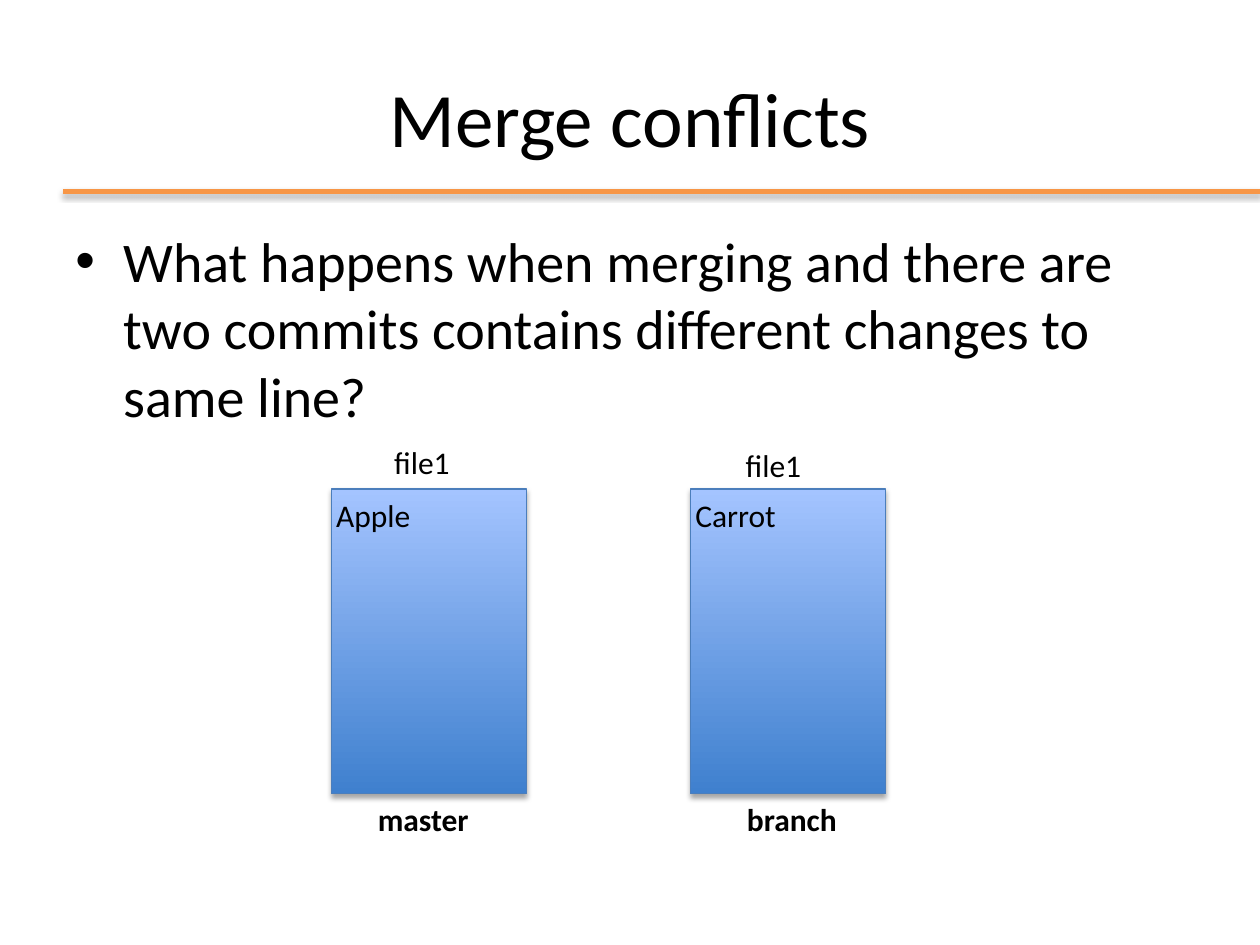
from lxml.etree import SubElement as Sub
from pptx import Presentation
from pptx.dml.color import RGBColor
from pptx.enum.shapes import MSO_CONNECTOR as Link, MSO_SHAPE as Form
from pptx.enum.text import MSO_ANCHOR as Anchor, MSO_AUTO_SIZE as Fit, PP_ALIGN as Align
from pptx.oxml.ns import qn
from pptx.util import Inches, Pt


def tint(code):
    return RGBColor.from_string(code)


class Deck:
    font = "Calibri"
    ink = "000000"
    rule = "F79646"
    edge = "4B7EBC"
    shades = ("3F80CE", "A4C4FF")

    def __init__(self, slide):
        self.slide = slide

    def shade(self, shape):
        effects = Sub(shape._element.spPr, qn("a:effectLst"))
        outer = Sub(effects, qn("a:outerShdw"), blurRad="40000", dist="23000",
                    dir="5400000", rotWithShape="0")
        color = Sub(outer, qn("a:srgbClr"), val=self.ink)
        Sub(color, qn("a:alpha"), val="35000")

    def line(self, left, right, top):
        line = self.slide.shapes.add_connector(
            Link.STRAIGHT, Inches(left), Inches(top), Inches(right), Inches(top))
        line.line.color.rgb = tint(self.rule)
        line.line.width = Pt(3)
        self.shade(line)

    def box(self, left, top, width, height):
        box = self.slide.shapes.add_shape(
            Form.RECTANGLE, Inches(left), Inches(top), Inches(width), Inches(height))
        box.fill.gradient()
        box.fill.gradient_angle = 90
        for stop, code in zip(box.fill.gradient_stops, self.shades):
            stop.color.rgb = tint(code)
        box.line.color.rgb = tint(self.edge)
        box.line.width = Pt(0.75)
        self.shade(box)

    def text(self, words, left, top, width, height, size=18, bold=False,
             align=Align.LEFT, anchor=Anchor.TOP, fit=Fit.SHAPE_TO_FIT_TEXT):
        box = self.slide.shapes.add_textbox(
            Inches(left), Inches(top), Inches(width), Inches(height))
        frame = box.text_frame
        frame.word_wrap = True
        frame.auto_size = fit
        frame.vertical_anchor = anchor
        frame.text = words
        para = frame.paragraphs[0]
        para.alignment = align
        for run in para.runs:
            run.font.name = self.font
            run.font.size = Pt(size)
            run.font.bold = bold
            run.font.color.rgb = tint(self.ink)
        return para

    def bullet(self, words, left, top, width, height, size):
        para = self.text(words, left, top, width, height, size, fit=Fit.NONE)
        props = para._p.get_or_add_pPr()
        props.set("marL", str(Inches(0.38)))
        props.set("indent", str(Inches(-0.38)))
        Sub(props, qn("a:buFont"), typeface="Arial")
        Sub(props, qn("a:buChar"), char="•")


def main():
    show = Presentation()
    show.slide_width, show.slide_height = Inches(10), Inches(7.5)
    deck = Deck(show.slides.add_slide(show.slide_layouts[6]))
    deck.line(0.5, 10, 1.52)
    deck.text("Merge conflicts", 0.5, 0.3, 9, 1.25, 44,
              align=Align.CENTER, anchor=Anchor.MIDDLE, fit=Fit.NONE)
    deck.bullet("What happens when merging and there are two commits contains "
                "different changes to same line?", 0.5, 1.75, 9, 4.95, 32)
    files = (
        (2.63, "Apple", "master", 3.03, 3.47, 2.9),
        (5.48, "Carrot", "branch", 5.82, 3.49, 5.83),
    )
    for left, word, branch, name_x, name_y, branch_x in files:
        deck.box(left, 3.88, 1.55, 2.42)
        deck.text("file1", name_x, name_y, 1.28, 0.4)
        deck.text(word, left - 0.06, 3.89, 1.04, 0.4)
        deck.text(branch, branch_x, 6.3, 1.34, 0.4, bold=True)
    show.save("out.pptx")


if __name__ == "__main__":
    main()
